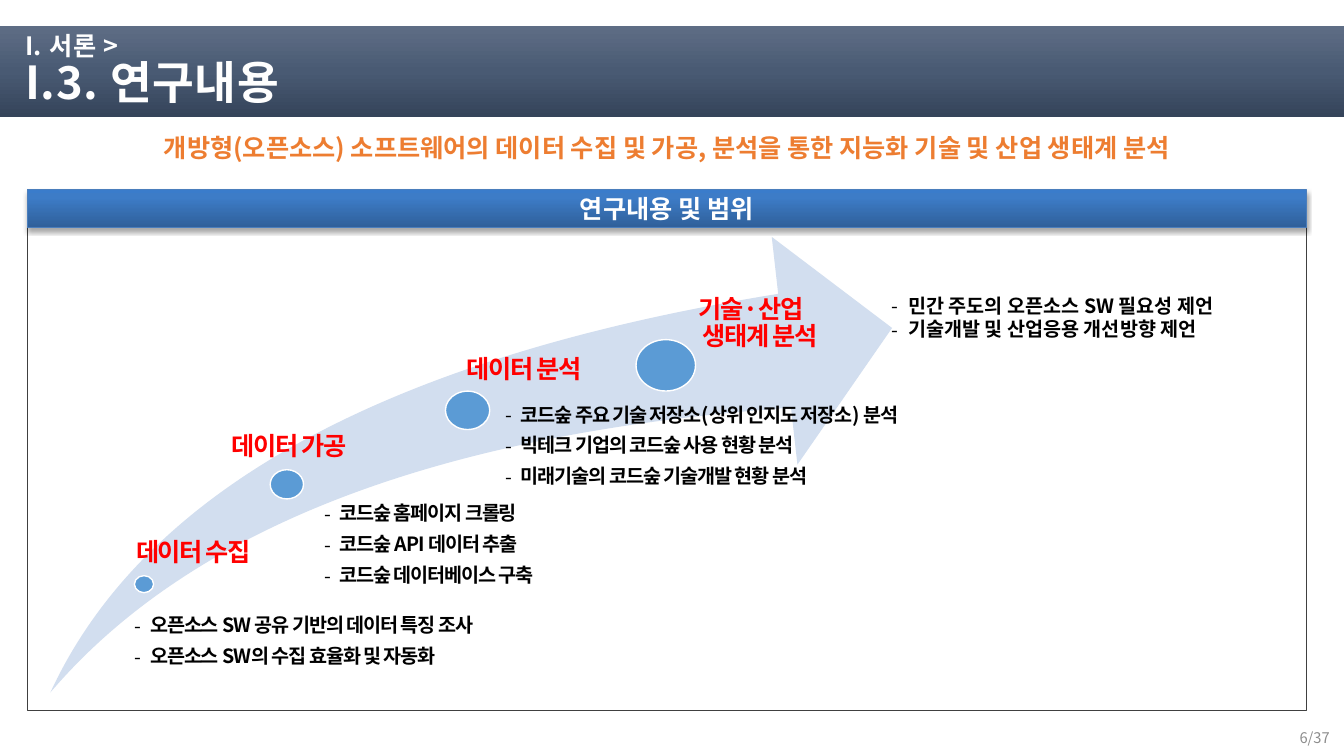
from lxml.etree import SubElement
from pptx import Presentation
from pptx.dml.color import RGBColor
from pptx.enum.shapes import MSO_SHAPE as Preset
from pptx.enum.text import MSO_ANCHOR as Anchor, PP_ALIGN as Align
from pptx.oxml.ns import qn
from pptx.util import Pt

FONT = "Noto Sans CJK KR"
STAGES = [
    ("데이터 수집", (60, 242, 13.7, 12.2), (53.3, 216, 135, 78), 7.9),
    ("데이터 가공", (157, 166.3, 23.8, 20.9), (116, 140.4, 168, 58), 13.7),
    ("데이터 분석", (282.2, 110.2, 31.7, 27.4), (279.4, 85.7, 126, 27), 18),
    ("기술·산업\n 생태계 분석", (418.3, 73.4, 42.5, 36.7), (439.2, 42.5, 167, 50), 23.8),
]
DETAILS = [
    ((89.3, 434.2, 480, 46), ["오픈소스 SW 공유 기반의 데이터 특징 조사",
                              "오픈소스 SW의 수집 효율화 및 자동화"]),
    ((224.6, 354.2, 436, 68.4), ["코드숲 홈페이지 크롤링", "코드숲 API 데이터 추출",
                                 "코드숲 데이터베이스 구축"]),
    ((354.2, 283.7, 522, 68.4), ["코드숲 주요 기술 저장소(상위 인지도 저장소) 분석",
                                 "빅테크 기업의 코드숲 사용 현황 분석",
                                 "미래기술의 코드숲 기술개발 현황 분석"]),
]
PROPOSALS = ["민간 주도의 오픈소스 SW 필요성 제언", "기술개발 및 산업응용 개선방향 제언"]


def color(code):
    """Turn a hex string into a colour."""
    return RGBColor.from_string(code)


def add_preset(slide, preset, box, fill=None, line=None, width=1):
    """Draw a preset shape with a plain or a gradient fill."""
    shape = slide.shapes.add_shape(preset, *map(Pt, box))
    shape.shadow.inherit = False
    if isinstance(fill, list):
        set_gradient(shape, fill)
    elif fill:
        shape.fill.solid()
        shape.fill.fore_color.rgb = color(fill)
    else:
        shape.fill.background()
    if line:
        shape.line.color.rgb = color(line)
        shape.line.width = Pt(width)
    else:
        shape.line.fill.background()
    return shape


def set_gradient(shape, stops):
    """Fill a shape from top to bottom with the given percent and colour stops."""
    shape.fill.gradient()
    shape.fill.gradient_angle = 270
    stop_list = shape.element.spPr.find(qn("a:gradFill")).find(qn("a:gsLst"))
    for stop in list(stop_list):
        stop_list.remove(stop)
    for percent, code in stops:
        stop = SubElement(stop_list, qn("a:gs"), pos=str(percent * 1000))
        SubElement(stop, qn("a:srgbClr"), val=code)


def add_shadow(shape, opacity, blur, distance):
    """Cast a black shadow straight down from a shape."""
    effects = shape.element.spPr.find(qn("a:effectLst"))
    shadow = SubElement(effects, qn("a:outerShdw"), blurRad=str(Pt(blur)),
                        dist=str(Pt(distance)), dir="5400000", rotWithShape="0")
    black = SubElement(shadow, qn("a:srgbClr"), val="000000")
    SubElement(black, qn("a:alpha"), val=str(opacity * 1000))


def write(shape, text, sizes=(18,), fill="000000", bold=True, align=Align.LEFT,
          anchor=Anchor.TOP, insets=(7.2, 3.6, 7.2, 3.6), spacing=None,
          after=0, tracking=0, hanging=0):
    """Write one paragraph for each line of text into a shape."""
    frame = shape.text_frame
    frame.word_wrap = True
    frame.vertical_anchor = anchor
    (frame.margin_left, frame.margin_top,
     frame.margin_right, frame.margin_bottom) = map(Pt, insets)
    for index, line in enumerate(text.split("\n")):
        paragraph = frame.add_paragraph() if index else frame.paragraphs[0]
        paragraph.alignment = align
        paragraph.space_after = Pt(after)
        if spacing:
            paragraph.line_spacing = spacing
        if hanging:
            properties = paragraph._p.get_or_add_pPr()
            properties.set("marL", str(Pt(hanging)))
            properties.set("indent", str(-Pt(hanging)))
            SubElement(properties, qn("a:buFont"), typeface=FONT)
            SubElement(properties, qn("a:buChar"), char="-")
        run = paragraph.add_run()
        run.text = line
        run.font.size = Pt(sizes[min(index, len(sizes) - 1)])
        run.font.bold = bold
        run.font.name = FONT
        run.font.color.rgb = color(fill)
        run_properties = run._r.get_or_add_rPr()
        SubElement(run_properties, qn("a:ea"), typeface=FONT)
        if tracking:
            run_properties.set("spc", str(round(tracking * 100)))


def add_text(slide, box, text, **style):
    """Add a text box and write into it."""
    write(slide.shapes.add_textbox(*map(Pt, box)), text, **style)


def add_title_bar(slide, box):
    """Draw the dark bar with the section and the slide title."""
    left, top, width, height = box
    add_preset(slide, Preset.RECTANGLE, box,
               [(0, "5E6D85"), (50, "495A73"), (100, "35445A")])
    add_text(slide, (left + 10.8, top, width - 76, height), "I. 서론 >\nI.3. 연구내용",
             sizes=(18, 32.4), fill="FEFEFE", anchor=Anchor.MIDDLE,
             spacing=0.9, tracking=0.5)


def add_panel(slide, box):
    """Draw the outlined panel and its blue heading band."""
    left, top, width, height = box
    band_height = 27.4
    add_preset(slide, Preset.RECTANGLE, (left, top + 18.7, width, height - 18.7),
               line="404040", width=0.5)
    band = add_preset(slide, Preset.RECTANGLE, (left, top, width, band_height),
                      [(0, "3A7CCB"), (20, "3D7CC7"), (100, "2F5F99")], "4B7EBC", 0.75)
    add_shadow(band, 35, 3.1, 1.8)
    write(band, "연구내용 및 범위", fill="FFFFFF", align=Align.CENTER, anchor=Anchor.MIDDLE)


def add_stages(slide, box):
    """Draw the rising arrow with a dot and a label for each stage."""
    left, top = box[:2]
    arrow = add_preset(slide, Preset.SWOOSH_ARROW, box, "D2DEEF")
    arrow.adjustments[0] = 0.25
    arrow.adjustments[1] = 0.25
    for label, dot, area, inset in STAGES:
        add_preset(slide, Preset.OVAL, (left + dot[0], top + dot[1], *dot[2:]),
                   "5B9BD5", "FFFFFF")
        add_text(slide, (left + area[0], top + area[1], *area[2:]), label,
                 fill="FF0000", insets=(inset, 0, 0, 0), spacing=0.9, tracking=-1)


def add_details(slide):
    """List the work of each stage and the closing proposals."""
    for box, lines in DETAILS:
        add_text(slide, box, "\n".join(lines), sizes=(14,), align=Align.JUSTIFY,
                 spacing=Pt(17), after=5, tracking=-0.8, hanging=10.8)
    add_text(slide, (630, 205.9, 281.5, 41), "\n".join(PROPOSALS), sizes=(14,),
             spacing=Pt(17), hanging=11.5)


def main():
    """Build the slide and save it."""
    presentation = Presentation()
    presentation.slide_width, presentation.slide_height = Pt(960), Pt(540)
    slide = presentation.slides.add_slide(presentation.slide_layouts[6])
    add_title_bar(slide, (0, 18.7, 960, 64.8))
    add_panel(slide, (19.4, 135.4, 913.7, 372.2))
    add_text(slide, (19.4, 85, 913.7, 43.9),
             "개방형(오픈소스) 소프트웨어의 데이터 수집 및 가공, "
             "분석을 통한 지능화 기술 및 산업 생태계 분석",
             fill="ED7D31", align=Align.CENTER, anchor=Anchor.MIDDLE, spacing=0.9)
    add_stages(slide, (36, 169.2, 601.2, 325.4))
    add_details(slide)
    add_text(slide, (740.9, 507.6, 216, 28.8), "6/37", sizes=(10.5,), fill="8C8C8C",
             bold=False, align=Align.RIGHT, anchor=Anchor.BOTTOM)
    presentation.save("out.pptx")


if __name__ == "__main__":
    main()
